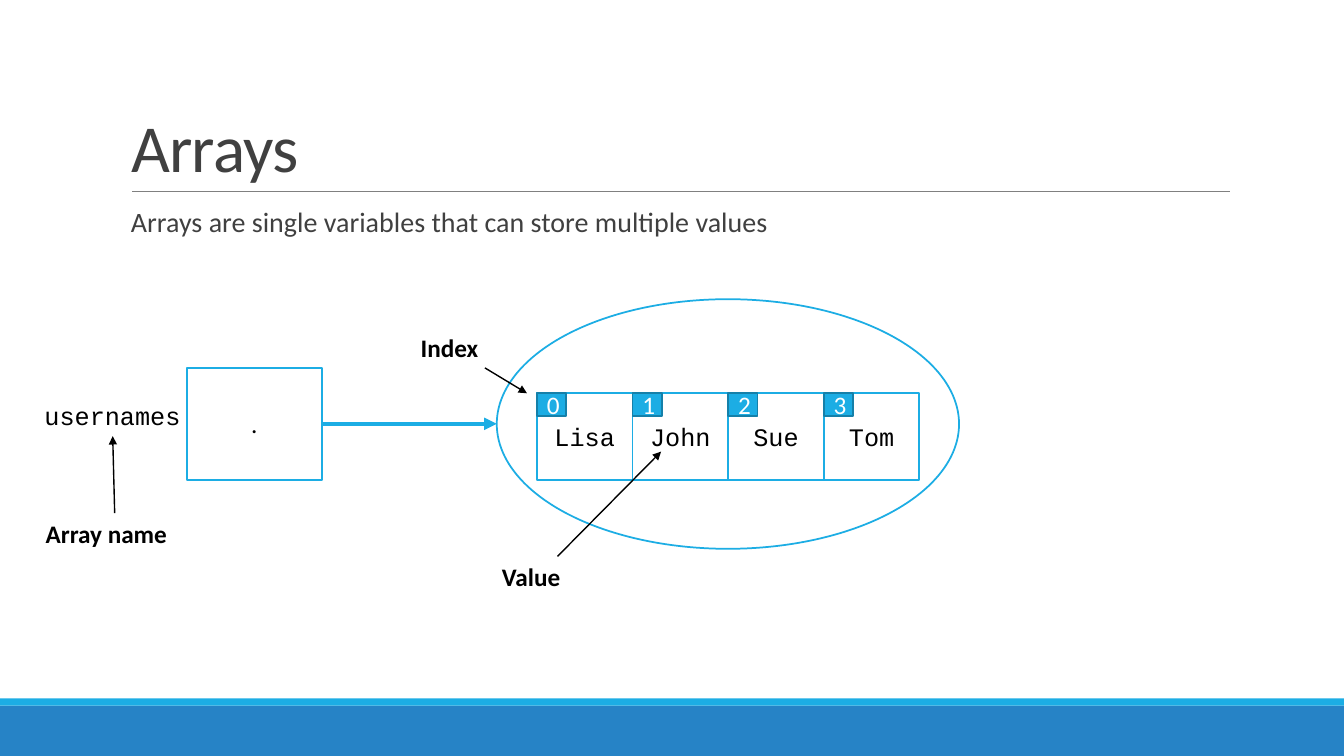
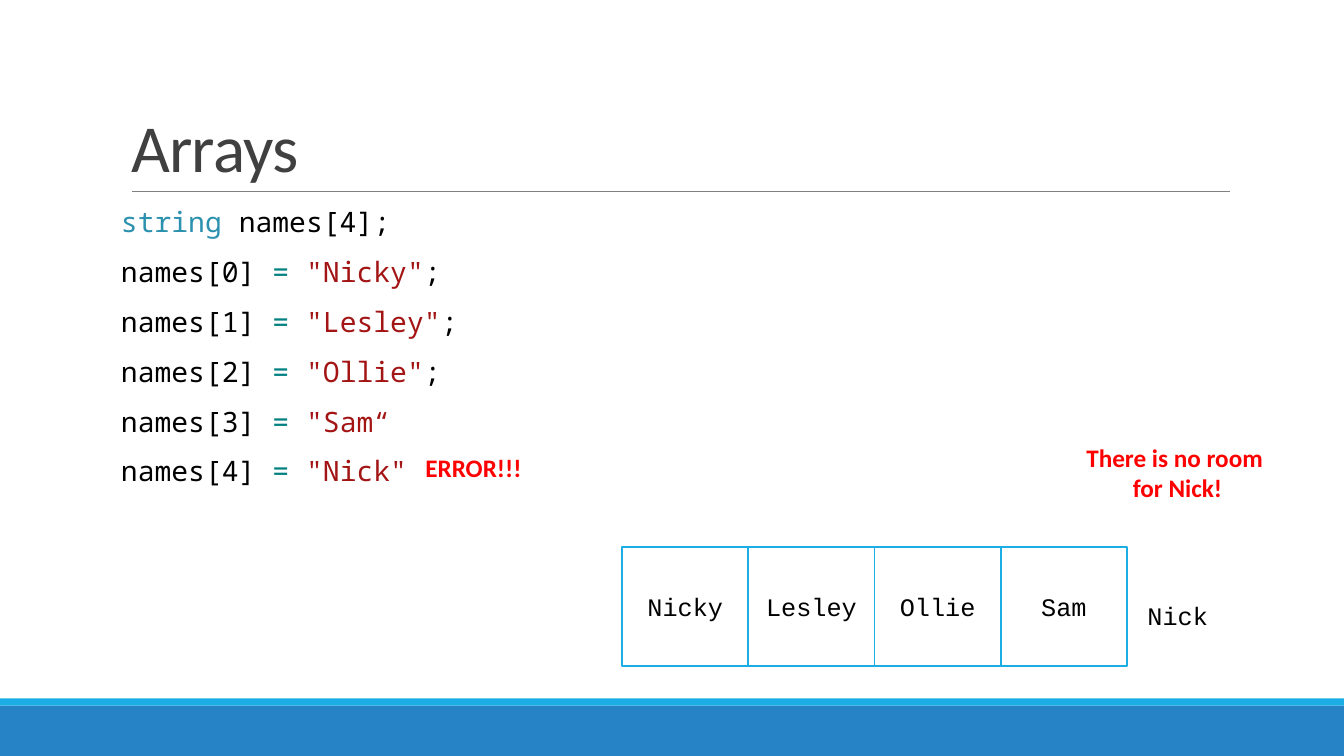
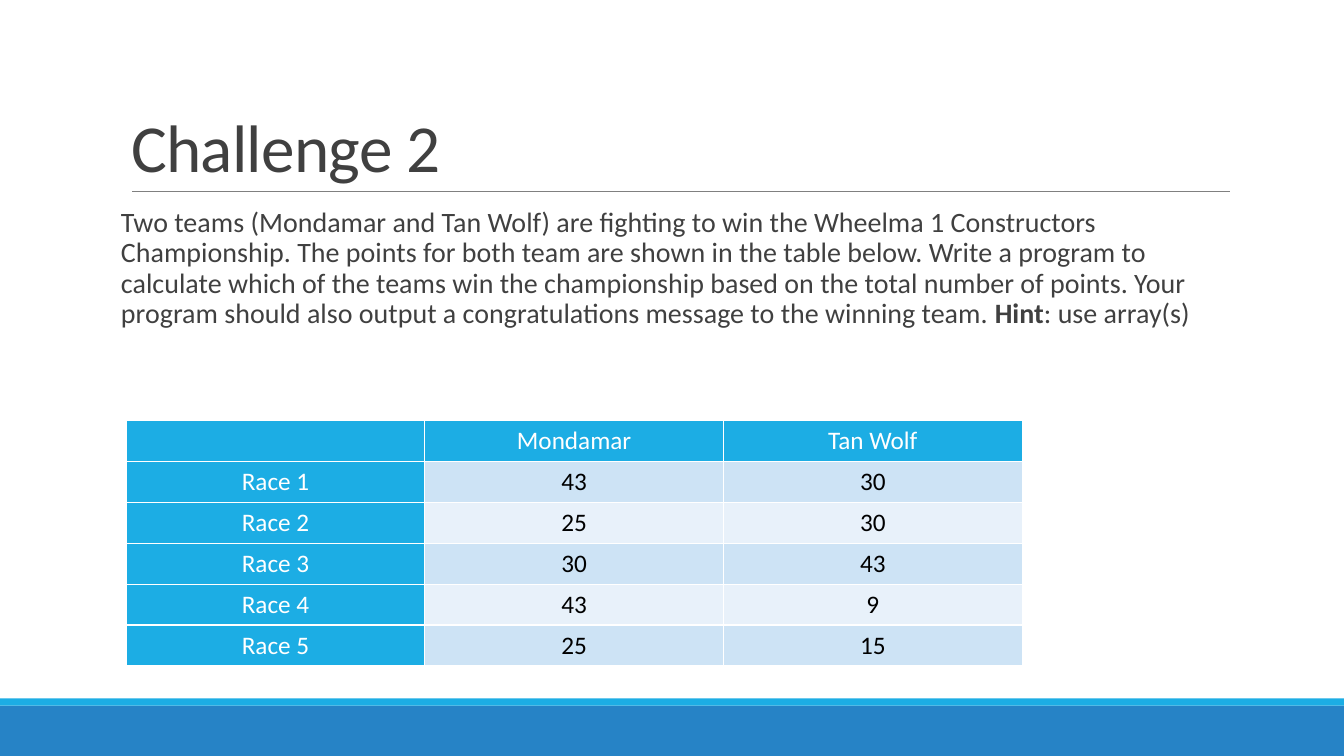
"""Build three slides on arrays: an idea, an overflow and a challenge."""
import lxml.etree
import pptx
import pptx.dml.color
import pptx.enum.shapes
import pptx.enum.text
import pptx.oxml.ns
import pptx.util

Cm = pptx.util.Cm
Pt = pptx.util.Pt
qn = pptx.oxml.ns.qn
SHAPE = pptx.enum.shapes.MSO_SHAPE
ALIGN = pptx.enum.text.PP_ALIGN
ANCHOR = pptx.enum.text.MSO_ANCHOR
FIT = pptx.enum.text.MSO_AUTO_SIZE

SANS, MONO, CODE = "Calibri", "Courier New", "Noto Sans Mono"
SKY, BLUE, RIM = "1CADE4", "2683C6", "1580A9"
BLACK, WHITE, GREY, TEXT, RED = "000000", "FFFFFF", "808080", "404040", "FF0000"
TYPE, SIGN, QUOTE = "2B91AF", "008080", "A31515"
BANDS = ["CDE3F5", "E8F1FA"]


def paint(colour, code):
    """Give a colour format its hex value."""
    colour.rgb = pptx.dml.color.RGBColor.from_string(code)


def style(para, size=18, code=BLACK, face=SANS, bold=False, align=ALIGN.LEFT):
    """Set the font and alignment of a paragraph."""
    para.alignment = align
    para.font.size = Pt(size)
    para.font.name = face
    para.font.bold = bold
    paint(para.font.color, code)


def shape(slide, kind, box, fill, line=None, text="", **look):
    """Add a filled shape, with an outline and centred text if given."""
    item = slide.shapes.add_shape(kind, *map(Cm, box))
    item.shadow.inherit = False
    item.fill.solid()
    paint(item.fill.fore_color, fill)
    if line:
        paint(item.line.color, line)
        item.line.width = Pt(1.25)
    else:
        item.line.fill.background()
    if text:
        frame = item.text_frame
        frame.text = text
        frame.vertical_anchor = ANCHOR.MIDDLE
        style(frame.paragraphs[0], align=ALIGN.CENTER, **look)


def line(slide, start, end, code=BLACK, width=1, arrow=True):
    """Add a straight line, with an arrowhead at its end if asked."""
    kind = pptx.enum.shapes.MSO_CONNECTOR.STRAIGHT
    item = slide.shapes.add_connector(kind, *map(Cm, start + end))
    paint(item.line.color, code)
    item.line.width = Pt(width)
    props = item.element.spPr
    if arrow:
        tail = lxml.etree.SubElement(props.find(qn("a:ln")), qn("a:tailEnd"))
        tail.set("type", "triangle")
    lxml.etree.SubElement(props, qn("a:effectLst"))


def label(slide, box, *lines, **look):
    """Add a text box that fits its lines."""
    frame = slide.shapes.add_textbox(*map(Cm, box)).text_frame
    frame.word_wrap = False
    frame.auto_size = FIT.SHAPE_TO_FIT_TEXT
    frame.text = "\n".join(lines)
    for para in frame.paragraphs:
        style(para, **look)


def body(slide, lines, face=SANS, inset=0):
    """Add the body text; each line is a list of text, colour and weight."""
    frame = slide.shapes.add_textbox(Cm(3.05), Cm(5.13), Cm(27.94), Cm(11.18)).text_frame
    frame.word_wrap = True
    frame.margin_left, frame.margin_right = Cm(inset), 0
    for count, parts in enumerate(lines):
        para = frame.add_paragraph() if count else frame.paragraphs[0]
        style(para, 20, TEXT, face)
        para.line_spacing = 0.9
        para.space_before, para.space_after = Pt(12), Pt(2)
        for text, code, bold in parts:
            run = para.add_run()
            run.text = text
            if code != TEXT:
                paint(run.font.color, code)
            if bold:
                run.font.bold = True


def start(deck, title):
    """Add a slide with the shared bands, rule and title."""
    slide = deck.slides.add_slide(deck.slide_layouts[5])
    shape(slide, SHAPE.RECTANGLE, (0, 17.78, 33.87, 1.27), BLUE)
    shape(slide, SHAPE.RECTANGLE, (0, 17.6, 33.87, 0.18), SKY)
    line(slide, (3.33, 4.83), (31, 4.83), GREY, 0.5, False)
    head = slide.shapes.title
    head.left, head.top, head.width, head.height = map(Cm, (3.05, 0.79, 27.94, 4.04))
    frame = head.text_frame
    frame.text = title
    frame.auto_size = FIT.NONE
    frame.vertical_anchor = ANCHOR.BOTTOM
    para = frame.paragraphs[0]
    style(para, 48, TEXT)
    para.line_spacing = 0.85
    para.runs[0]._r.get_or_add_rPr().set("spc", "-50")
    return slide


def cells(slide, names, left, top, width, height):
    """Draw the boxes of an array side by side."""
    for count, name in enumerate(names):
        box = (left + count * width, top, width, height)
        shape(slide, SHAPE.RECTANGLE, box, WHITE, SKY, name, face=MONO)


def table(slide, rows, box):
    """Add a table with a header row and a header column."""
    frame = slide.shapes.add_table(len(rows), len(rows[0]), *map(Cm, box))
    for down, row in enumerate(rows):
        for across, text in enumerate(row):
            cell = frame.table.cell(down, across)
            head = down == 0 or across == 0
            border(cell)
            cell.fill.solid()
            paint(cell.fill.fore_color, SKY if head else BANDS[(down - 1) % 2])
            cell.text = text
            style(cell.text_frame.paragraphs[0], code=WHITE if head else BLACK,
                  align=ALIGN.CENTER)


def border(cell):
    """Put a thin white line on each side of a cell."""
    props = cell._tc.get_or_add_tcPr()
    for side in ("a:lnL", "a:lnR", "a:lnT", "a:lnB"):
        edge = lxml.etree.SubElement(props, qn(side), w=str(Pt(1)))
        fill = lxml.etree.SubElement(edge, qn("a:solidFill"))
        lxml.etree.SubElement(fill, qn("a:srgbClr"), val=WHITE)


def idea(deck):
    """Show an array with its name, index and values."""
    slide = start(deck, "Arrays")
    shape(slide, SHAPE.OVAL, (12.52, 7.54, 11.65, 6.29), WHITE, SKY)
    body(slide, [[("Arrays are single variables that can store multiple values", TEXT, False)]],
         inset=0.25)
    shape(slide, SHAPE.RECTANGLE, (4.71, 9.27, 3.4, 2.82), WHITE, SKY, ".")
    left, top, width = 13.53, 9.91, 2.41
    names = ["Lisa", "John", "Sue", "Tom"]
    cells(slide, names, left, top, width, 2.18)
    for count in range(len(names)):
        box = (left + count * width, top, 0.74, 0.58)
        shape(slide, SHAPE.RECTANGLE, box, SKY, RIM, str(count), code=WHITE)
    label(slide, (0.87, 9.96, 3.96, 1.02), "usernames", face=MONO)
    label(slide, (0.9, 12.93, 3.96, 1.02), "Array name", bold=True)
    label(slide, (10.35, 8.25, 2.16, 1.02), "Index", bold=True)
    label(slide, (12.4, 14.02, 2.13, 1.02), "Value", bold=True)
    line(slide, (8.11, 10.68), (12.52, 10.68), SKY, 3)
    line(slide, (2.89, 12.93), (2.84, 10.99))
    line(slide, (12.22, 9.27), (13.28, 9.91))
    line(slide, (14.05, 14.02), (16.66, 11.38))


def spill(deck):
    """Show an array that has no room for a fifth name."""
    slide = start(deck, "Arrays")
    names = ["Nicky", "Lesley", "Ollie", "Sam", "Nick"]
    ends = ['";', '";', '";', "“", '"']
    lines = [[("string", TYPE, False), (" names[4];", BLACK, False)]]
    for count, (name, end) in enumerate(zip(names, ends)):
        parts = [(f"names[{count}] ", BLACK, False), ("= ", SIGN, False),
                 (f'"{name}{end[0]}', QUOTE, False)]
        if end[1:]:
            parts.append((end[1:], BLACK, False))
        lines.append(parts)
    body(slide, lines, CODE)
    cells(slide, names[:4], 15.68, 13.79, 3.18, 3)
    label(slide, (28.65, 15.01, 2.06, 1.02), names[4], face=MONO, align=ALIGN.CENTER)
    label(slide, (10.47, 11.28, 2.97, 1.02), "ERROR!!!", code=RED, bold=True)
    label(slide, (27.11, 11.02, 5.13, 1.8), "There is no room ", "for Nick!",
          code=RED, bold=True, align=ALIGN.CENTER)


def task(deck):
    """Set the challenge with its table of points."""
    slide = start(deck, "Challenge 2")
    teams = ["Mondamar", "Tan Wolf"]
    text = (f"Two teams ({teams[0]} and {teams[1]}) are fighting to win the Wheelma 1 "
            "Constructors Championship. The points for both team are shown in the table "
            "below. Write a program to calculate which of the teams win the championship "
            "based on the total number of points. Your program should also output a "
            "congratulations message to the winning team. ")
    body(slide, [[(text, TEXT, False), ("Hint", TEXT, True), (": use array(s)", TEXT, False)]])
    points = [(43, 30), (25, 30), (30, 43), (43, 9), (25, 15)]
    rows = [["", *teams]]
    for count, pair in enumerate(points, 1):
        rows.append([f"Race {count}", *map(str, pair)])
    table(slide, rows, (3.18, 10.6, 22.58, 6.18))


def main():
    """Build and save the deck."""
    deck = pptx.Presentation()
    deck.slide_width, deck.slide_height = Cm(33.87), Cm(19.05)
    idea(deck)
    spill(deck)
    task(deck)
    deck.save("out.pptx")


if __name__ == "__main__":
    main()
